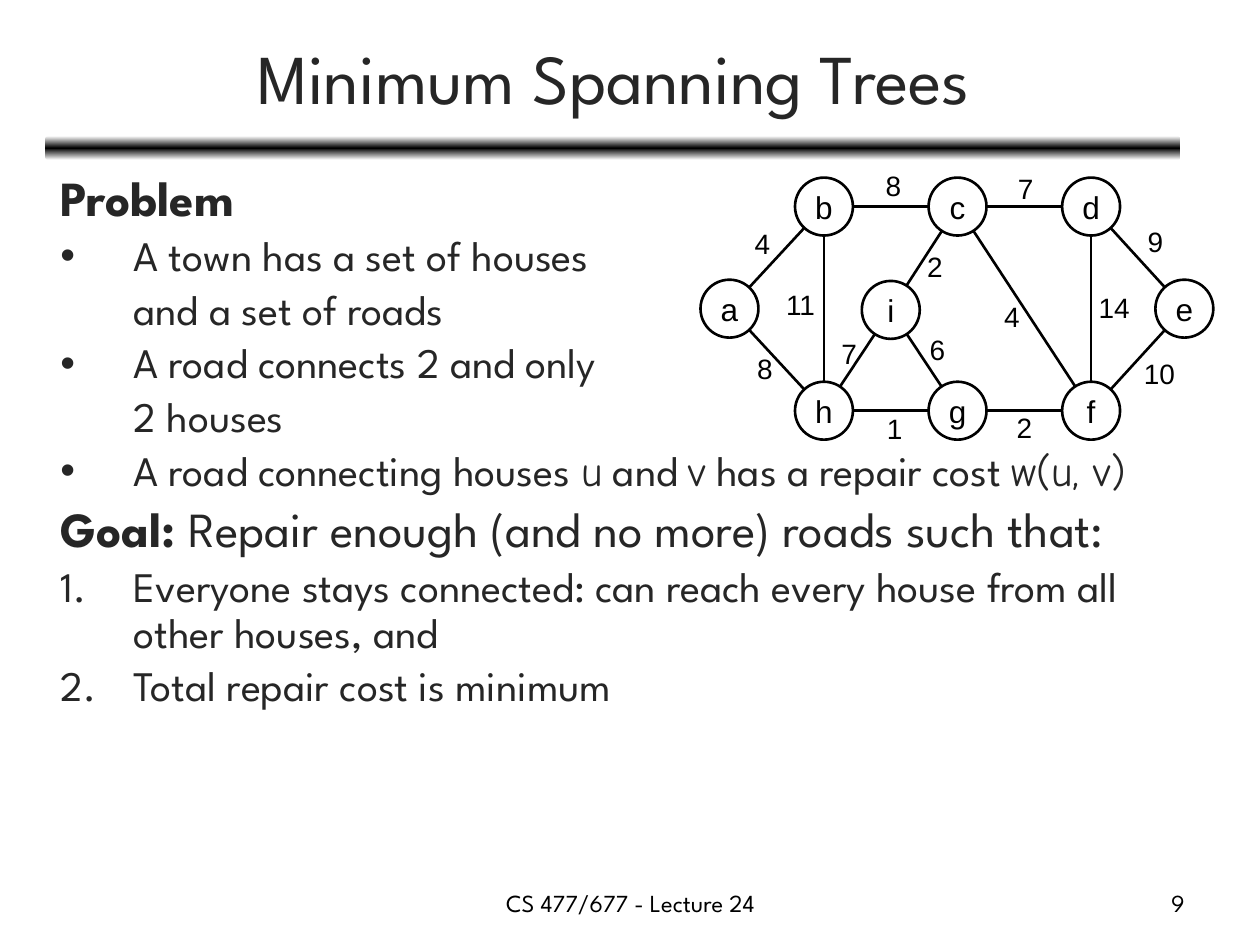
from copy import deepcopy
from dataclasses import dataclass
from math import hypot

from lxml import etree
from pptx import Presentation
from pptx.dml.color import RGBColor
from pptx.enum.shapes import MSO_CONNECTOR, MSO_SHAPE
from pptx.enum.text import MSO_ANCHOR, MSO_AUTO_SIZE, PP_ALIGN
from pptx.oxml.ns import qn
from pptx.util import Inches, Pt

BLACK = RGBColor(0, 0, 0)
WHITE = RGBColor(0xFF, 0xFF, 0xFF)
DARK = RGBColor(0x26, 0x26, 0x26)
SPARTAN, COMIC, ARIAL = "League Spartan", "Comic Neue", "Arial"
LEFT, CENTER, RIGHT = PP_ALIGN.LEFT, PP_ALIGN.CENTER, PP_ALIGN.RIGHT
MIDDLE = MSO_ANCHOR.MIDDLE
OVAL, ROUND_RECT = MSO_SHAPE.OVAL, MSO_SHAPE.ROUNDED_RECTANGLE
STRAIGHT = MSO_CONNECTOR.STRAIGHT
GROW, FIXED = MSO_AUTO_SIZE.SHAPE_TO_FIT_TEXT, MSO_AUTO_SIZE.NONE
DIAMETER = 0.46
INDENT = 0.58


@dataclass
class Item:
    runs: list  # (text, font, bold)
    size: int = 24
    bullet: str = ""  # "•", "1." or none
    hanging: bool = True


@dataclass
class Node:
    name: str
    x: float
    y: float


@dataclass
class Edge:
    start: str
    end: str
    weight: int
    label_x: float
    label_y: float


ITEMS = [
    Item([("Problem", SPARTAN, True)], 28),
    Item([("A town has a set of houses", SPARTAN, False)], bullet="•"),
    Item([("and a set of roads", SPARTAN, False)], hanging=False),
    Item([("A road connects 2 and only", SPARTAN, False)], bullet="•"),
    Item([("2 houses", SPARTAN, False)], hanging=False),
    Item([("A road connecting houses ", SPARTAN, False), ("u", COMIC, False),
          (" and ", SPARTAN, False), ("v", COMIC, False),
          (" has a repair cost ", SPARTAN, False), ("w(u, v)", COMIC, False)], bullet="•"),
    Item([("Goal: ", SPARTAN, True),
          ("Repair enough (and no more) roads such that:", SPARTAN, False)], 28),
    Item([("Everyone stays connected: can reach every house from all other houses, and",
           SPARTAN, False)], bullet="1."),
    Item([("Total repair cost is minimum", SPARTAN, False)], bullet="1."),
]

# Node centres: three columns on two rows, and a middle row
COLUMNS = [6.54 + 1.06 * i for i in range(3)]
TOP, MID, BOTTOM = 1.64, 2.45, 3.26
NODES = [Node("a", 5.79, MID), Node("e", 9.4, MID), Node("i", 7.07, MID + 0.01)]
for names, row in (("bcd", TOP), ("hgf", BOTTOM)):
    NODES += [Node(name, x, row) for name, x in zip(names, COLUMNS)]

EDGES = [
    Edge("a", "b", 4, 5.89, 1.75), Edge("b", "c", 8, 6.93, 1.29),
    Edge("c", "d", 7, 7.98, 1.31), Edge("a", "h", 8, 5.91, 2.74),
    Edge("b", "h", 11, 6.14, 2.23), Edge("h", "g", 1, 6.94, 3.22),
    Edge("g", "f", 2, 7.97, 3.21), Edge("h", "i", 7, 6.58, 2.62),
    Edge("i", "c", 2, 7.26, 1.93), Edge("c", "f", 4, 7.87, 2.33),
    Edge("d", "f", 14, 8.62, 2.26), Edge("d", "e", 9, 9.01, 1.73),
    Edge("f", "e", 10, 8.98, 2.78), Edge("i", "g", 6, 7.28, 2.59),
]


def add_text(p, text: str, *, size: float, font: str = SPARTAN,
             color: RGBColor = BLACK, bold: bool = False, align=None) -> None:
    if align is not None:
        p.alignment = align
    r = p.add_run()
    r.text = text
    r.font.size, r.font.name, r.font.bold = Pt(size), font, bold
    r.font.color.rgb = color


def add_box(shapes, x: float, y: float, w: float, h: float, text: str, *,
            wrap: bool = True, auto_size=FIXED, **fmt) -> None:
    tf = shapes.add_textbox(Inches(x), Inches(y), Inches(w), Inches(h)).text_frame
    tf.word_wrap, tf.auto_size = wrap, auto_size
    add_text(tf.paragraphs[0], text, **fmt)


def place(sp, x: float, y: float, w: float, h: float) -> None:
    sp.left, sp.top, sp.width, sp.height = Inches(x), Inches(y), Inches(w), Inches(h)


def add_item(p, item: Item, first: bool) -> None:
    pPr = p._p.get_or_add_pPr()
    pPr.set("marL", str(Inches(INDENT)))
    pPr.set("indent", str(Inches(-INDENT if item.hanging else 0)))
    if item.bullet == "•":
        etree.SubElement(pPr, qn("a:buFontTx"))
        etree.SubElement(pPr, qn("a:buChar"), char=item.bullet)
    elif item.bullet:
        etree.SubElement(pPr, qn("a:buFontTx"))
        etree.SubElement(pPr, qn("a:buAutoNum"), type="arabicPeriod")
    else:
        etree.SubElement(pPr, qn("a:buNone"))
    p.line_spacing = 0.9
    p.space_before = Pt(0 if first else 0.2 * item.size)
    for text, font, bold in item.runs:
        add_text(p, text, size=item.size, font=font, bold=bold, color=DARK)


def add_rule(shapes) -> None:
    sp = shapes.add_shape(ROUND_RECT, Inches(0.36), Inches(1.08), Inches(9.01), Inches(0.19))
    sp.shadow.inherit = False
    sp.line.fill.background()
    sp.fill.gradient()
    sp.fill.gradient_angle = 90
    for stop, color, position in zip(sp.fill.gradient_stops, (WHITE, BLACK), (0, 0.5)):
        stop.color.rgb, stop.position = color, position
    stops = sp._element.spPr.find(qn("a:gradFill")).find(qn("a:gsLst"))
    last = deepcopy(stops[0])
    last.set("pos", "100000")
    stops.append(last)


def add_node(shapes, node: Node) -> None:
    sp = shapes.add_shape(OVAL, Inches(node.x - DIAMETER / 2), Inches(node.y - DIAMETER / 2),
                          Inches(DIAMETER), Inches(DIAMETER))
    sp.shadow.inherit = False
    sp.fill.background()
    sp.line.color.rgb, sp.line.width = BLACK, Pt(1.5)
    tf = sp.text_frame
    tf.word_wrap, tf.vertical_anchor = False, MIDDLE
    add_text(tf.paragraphs[0], node.name, size=18, font=ARIAL, align=CENTER)


def add_edge(shapes, a: Node, b: Node) -> None:
    # Trim the centre line by one radius at each end
    dx, dy = b.x - a.x, b.y - a.y
    trim = DIAMETER / 2 / hypot(dx, dy)
    line = shapes.add_connector(STRAIGHT, Inches(a.x + dx * trim), Inches(a.y + dy * trim),
                                Inches(b.x - dx * trim), Inches(b.y - dy * trim))
    line.line.color.rgb, line.line.width = BLACK, Pt(1.5)
    etree.SubElement(line._element.spPr, qn("a:effectLst"))


def main() -> None:
    prs = Presentation()
    prs.slide_width, prs.slide_height = Inches(10), Inches(7.5)
    s = prs.slides.add_slide(prs.slide_layouts[1])

    # Title, rule and body
    title, body = s.placeholders[0], s.placeholders[1]
    place(title, 0.37, 0.11, 9, 0.99)
    title.text_frame.vertical_anchor = MIDDLE
    add_text(title.text_frame.paragraphs[0], "Minimum Spanning Trees",
             size=40, color=DARK, align=CENTER)
    add_rule(s.shapes)
    place(body, 0.38, 1.33, 8.96, 5.55)
    tf = body.text_frame
    tf.auto_size = FIXED
    for i, item in enumerate(ITEMS):
        add_item(tf.add_paragraph() if i else tf.paragraphs[0], item, i == 0)

    # Weighted graph
    graph = s.shapes.add_group_shape().shapes
    nodes = {node.name: node for node in NODES}
    for node in NODES:
        add_node(graph, node)
    for edge in EDGES:
        add_edge(graph, nodes[edge.start], nodes[edge.end])
    for edge in EDGES:
        add_box(graph, edge.label_x, edge.label_y, 0.32 if edge.weight < 10 else 0.45, 0.37,
                str(edge.weight), wrap=False, auto_size=GROW, size=16, font=ARIAL, align=LEFT)

    # Footer and slide number
    add_box(s.shapes, 3.42, 7, 3.17, 0.35, "CS 477/677 - Lecture 24", size=14, align=CENTER)
    add_box(s.shapes, 7.17, 7, 2.33, 0.35, "9", size=14, align=RIGHT)
    prs.save("out.pptx")


if __name__ == "__main__":
    main()
